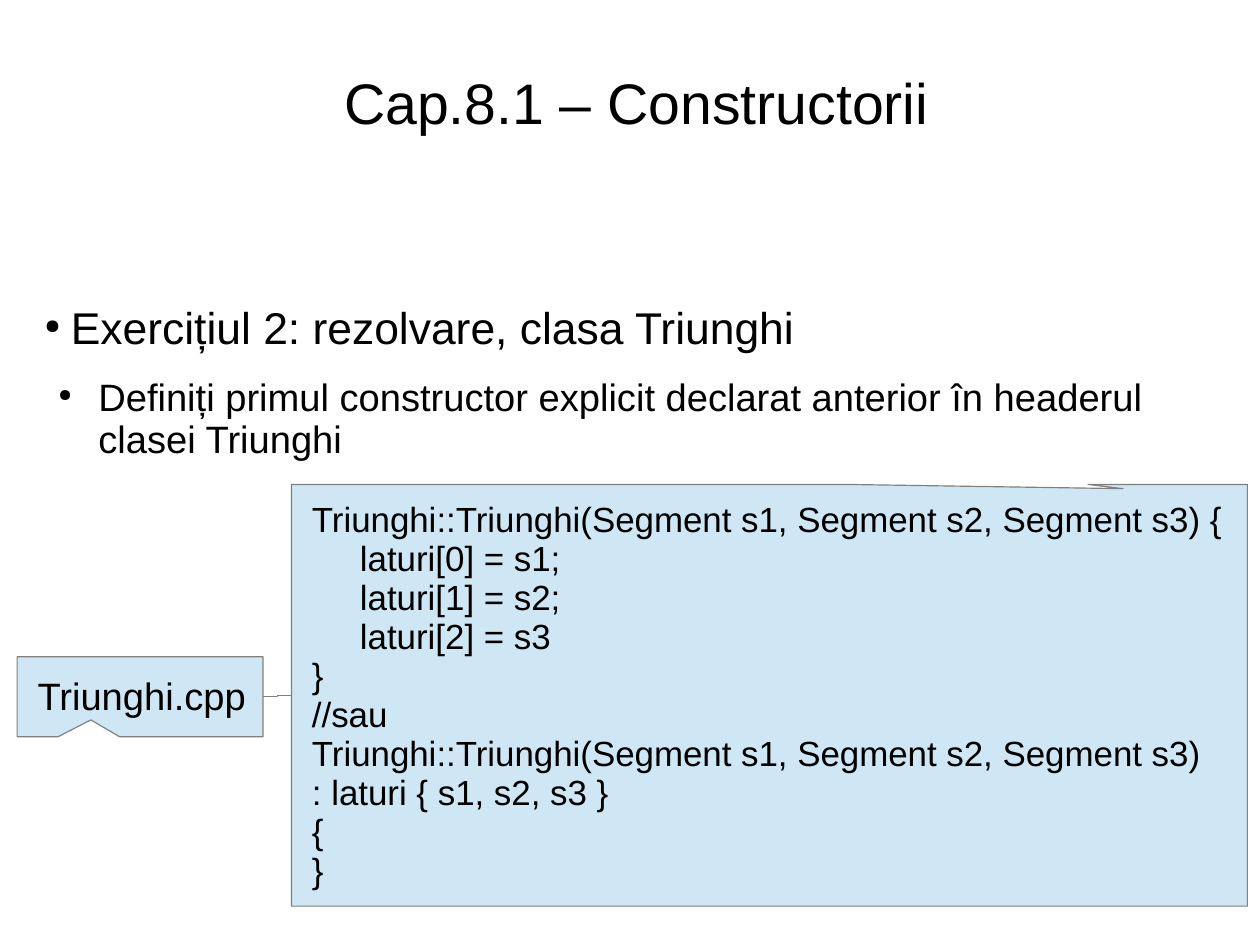
from dataclasses import dataclass

from lxml import etree
from pptx import Presentation
from pptx import util as u
from pptx.dml.color import RGBColor
from pptx.enum import shapes, text
from pptx.oxml.ns import qn


@dataclass(frozen=True)
class Theme:
    font: str = "Arial"
    ink: str = "000000"
    panel: str = "CFE7F5"
    edge: str = "808080"
    edge_width: float = 0.75
    title: int = 36
    topic: int = 28
    task: int = 24
    code: int = 22
    leading: float = 0.93
    after: float = 14.1


T = Theme()
W, H = u.Cm(28), u.Cm(21)

CODE_MARGIN, CODE_STEP = 0.08, 0.42
CODE = [  # nesting level, line
    (0, "Triunghi::Triunghi(Segment s1, Segment s2, Segment s3) {"),
    (1, "laturi[0] = s1;"),
    (1, "laturi[1] = s2;"),
    (1, "laturi[2] = s3"),
    (0, "}"),
    (0, "//sau"),
    (0, "Triunghi::Triunghi(Segment s1, Segment s2, Segment s3)"),
    (0, ": laturi { s1, s2, s3 }"),
    (0, "{"),
    (0, "}"),
]


def area(x, y, w, h):
    """Turn percentages of the slide into lengths."""
    return [int(side * share / 100) for side, share in zip((W, H, W, H), (x, y, w, h))]


def set_frame(sp, anchor, insets):
    tf = sp.text_frame
    tf.word_wrap = True
    tf.vertical_anchor = anchor
    tf.margin_left, tf.margin_top, tf.margin_right, tf.margin_bottom = map(u.Inches, insets)
    return tf


def add_line(tf, words, size, margin=0, indent=0, align=text.PP_ALIGN.LEFT):
    p = tf.paragraphs[0]
    if p.runs:
        p = tf.add_paragraph()
    p.alignment = align
    p.line_spacing = T.leading
    pPr = p._p.get_or_add_pPr()
    pPr.set("marL", str(u.Inches(margin)))
    pPr.set("indent", str(u.Inches(indent)))
    r = p.add_run()
    r.text = words
    r.font.name = T.font
    r.font.size = u.Pt(size)
    r.font.color.rgb = RGBColor.from_string(T.ink)
    return p


def add_bullet(tf, words, size, margin, hang):
    p = add_line(tf, words, size, margin, -hang)
    p.space_after = u.Pt(T.after)
    pPr = p._p.get_or_add_pPr()
    color = etree.SubElement(pPr, qn("a:buClr"))
    etree.SubElement(color, qn("a:srgbClr"), val=T.ink)
    etree.SubElement(pPr, qn("a:buSzPct"), val="45000")
    etree.SubElement(pPr, qn("a:buChar"), char="●")


def add_text(s, box, anchor):
    return set_frame(s.shapes.add_textbox(*area(*box)), anchor, (0, 0.03, 0, 0))


def set_edge(line):
    line.color.rgb = RGBColor.from_string(T.edge)
    line.width = u.Pt(T.edge_width)


def add_callout(s, box, tip, lines, size):
    sp = s.shapes.add_shape(shapes.MSO_SHAPE.RECTANGULAR_CALLOUT, *area(*box))
    sp.adjustments[0], sp.adjustments[1] = tip
    sp.shadow.inherit = False
    sp.fill.solid()
    sp.fill.fore_color.rgb = RGBColor.from_string(T.panel)
    set_edge(sp.line)
    tf = set_frame(sp, text.MSO_ANCHOR.MIDDLE, (0.1, 0.07, 0.1, 0.05))
    for level, words in lines:
        add_line(tf, words, size, CODE_MARGIN + level * CODE_STEP)
    return sp


def add_elbow(s, a, b):
    """Join the right side of a to the left side of b."""
    cn = s.shapes.add_connector(
        shapes.MSO_CONNECTOR.ELBOW,
        a.left + a.width, a.top + a.height // 2,
        b.left, b.top + b.height // 2,
    )
    set_edge(cn.line)
    etree.SubElement(cn._element.spPr, qn("a:effectLst"))


def main():
    prs = Presentation()
    prs.slide_width, prs.slide_height = W, H
    # The default template declares a 4:3 screen; this page has its own size
    prs.element.find(qn("p:sldSz")).attrib.pop("type", None)
    s = prs.slides.add_slide(prs.slide_layouts[6])

    # Title
    tf = add_text(s, (3.27, 3.43, 94.46, 14.99), text.MSO_ANCHOR.MIDDLE)
    add_line(tf, "Cap.8.1 – Constructorii", T.title, align=text.PP_ALIGN.CENTER)

    # Exercise
    tf = add_text(s, (3.54, 31.92, 91.29, 17.65), text.MSO_ANCHOR.TOP)
    add_bullet(tf, "Exercițiul 2: rezolvare, clasa Triunghi", T.topic, 0.23, 0.23)
    add_bullet(
        tf,
        "Definiți primul constructor explicit declarat anterior în headerul clasei Triunghi",
        T.task, 0.47, 0.35,
    )

    # Code and the file it belongs to
    code = add_callout(s, (23.14, 51.27, 75.86, 44.62), (0.37, -0.49), CODE, T.code)
    file = add_callout(s, (1.36, 69.5, 19.51, 8.46), (-0.2, 0.29),
                       [(0, "Triunghi.cpp")], T.task)
    add_elbow(s, file, code)

    prs.save("out.pptx")


if __name__ == "__main__":
    main()
